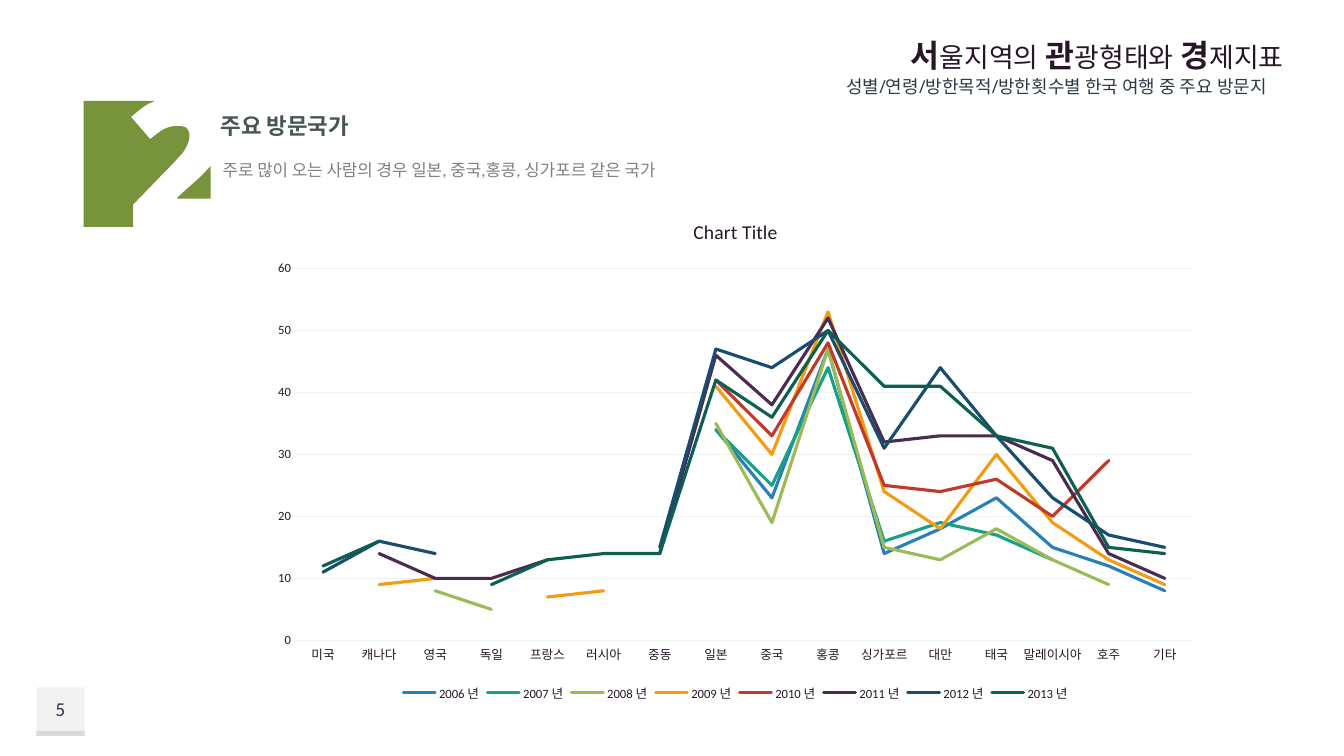
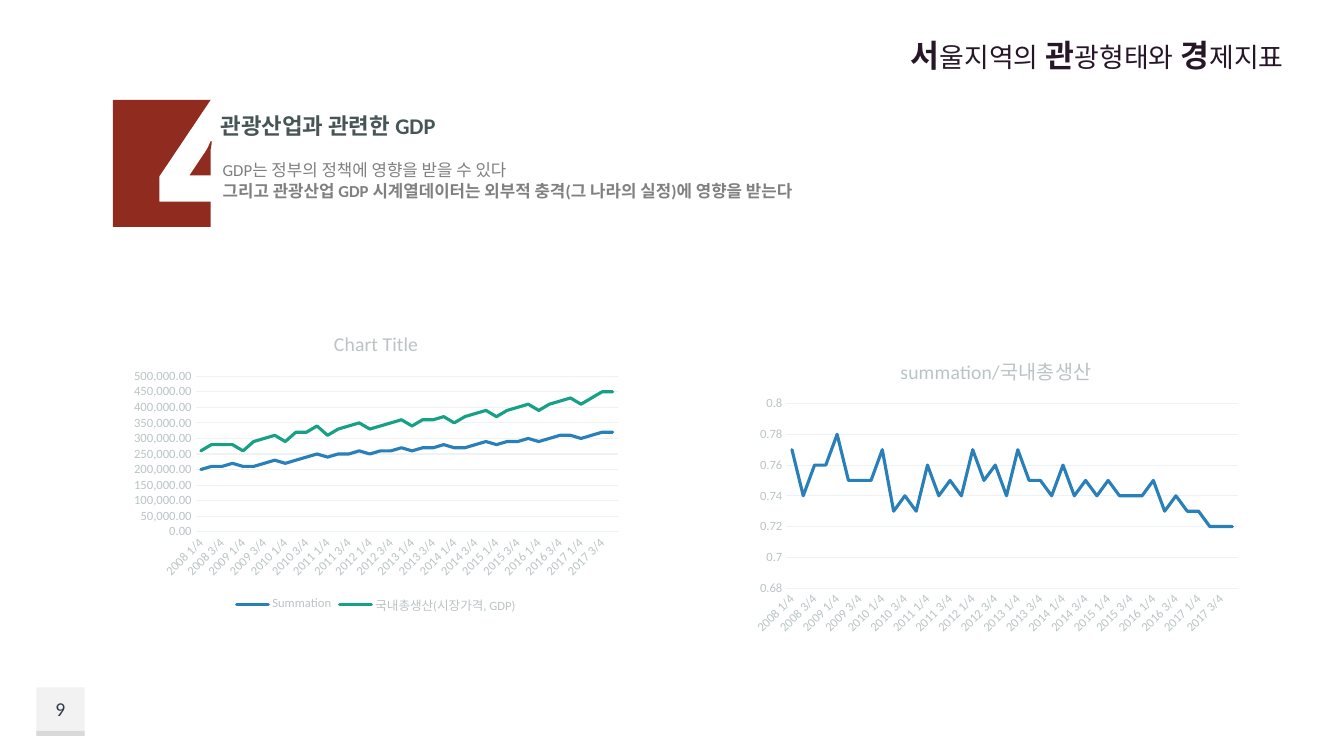
import pptx
import pptx.chart.data
import pptx.dml.color
import pptx.enum.chart
import pptx.enum.shapes
import pptx.enum.text
import pptx.util

Inches = pptx.util.Inches
Pt = pptx.util.Pt
RGBColor = pptx.dml.color.RGBColor
Align = pptx.enum.text.PP_ALIGN
Anchor = pptx.enum.text.MSO_ANCHOR
Tick = pptx.enum.chart.XL_TICK_MARK

FONT = "Calibri"
SUBTITLE_FONT = "Open Sans"
INK = RGBColor(0x26, 0x16, 0x28)
NAVY = RGBColor(0x2F, 0x3A, 0x46)
SLATE = RGBColor(0x48, 0x55, 0x56)
GRAY = RGBColor(0x80, 0x80, 0x80)
PALE_TEXT = RGBColor(0xBA, 0xC4, 0xC5)
GRID = RGBColor(0xEF, 0xF2, 0xF2)
TILE = RGBColor(0xF2, 0xF2, 0xF2)
TILE_EDGE = RGBColor(0xD9, 0xD9, 0xD9)
OLIVE = RGBColor(0x77, 0x93, 0x3C)
BRICK = RGBColor(0x90, 0x2B, 0x20)
SERIES_COLORS = [
    RGBColor(0x29, 0x80, 0xB9), RGBColor(0x16, 0xA0, 0x85),
    RGBColor(0x9B, 0xBB, 0x59), RGBColor(0xF3, 0x9C, 0x12),
    RGBColor(0xC0, 0x39, 0x2B), RGBColor(0x4B, 0x2C, 0x50),
    RGBColor(0x19, 0x4D, 0x6F), RGBColor(0x0D, 0x60, 0x50),
]

TITLE_WORDS = ["서울지역의", "관광형태와", "경제지표"]

# Contours in hundredths of an inch: pairs are corners, sextets are cubic curves.
DIGIT_TWO = [
    [(126, 65), (126, 97), (93, 97), (93, 96), (107, 83, 117, 75, 121, 70)],
    [(0, 0), (71, 0), (64, 3), (59, 6, 54, 10, 47, 16), (66, 38),
     (71, 34, 76, 30, 80, 28), (84, 26, 88, 25, 92, 25),
     (96, 25, 99, 25, 102, 27), (104, 29, 105, 32, 105, 35),
     (105, 38, 104, 41, 103, 43), (102, 46, 100, 49, 98, 52),
     (95, 55, 89, 62, 80, 71), (49, 103), (49, 125), (0, 125)],
]
DIGIT_FOUR = [
    [(97, 41), (98, 41), (98, 42, 98, 44, 97, 49), (97, 54, 97, 58, 97, 60),
     (97, 75), (76, 75), (90, 54), (93, 50, 95, 46, 97, 41)],
    [(0, 0), (97, 0), (46, 76), (46, 101), (97, 101), (97, 126), (0, 126)],
]

COUNTRIES = ["미국", "캐나다", "영국", "독일", "프랑스", "러시아", "중동", "일본",
             "중국", "홍콩", "싱가포르", "대만", "태국", "말레이시아", "호주", "기타"]
NA = None
VISITS = {
    "2006 년": [NA, NA, NA, NA, 7, NA, NA, 34, 23, 47, 14, 18, 23, 15, 12, 8],
    "2007 년": [NA, NA, 7, NA, 8, NA, NA, 34, 25, 44, 16, 19, 17, 13, NA, 9],
    "2008 년": [NA, NA, 8, 5, NA, NA, NA, 35, 19, 47, 15, 13, 18, 13, 9, NA],
    "2009 년": [NA, 9, 10, NA, 7, 8, NA, 41, 30, 53, 24, 18, 30, 19, 13, 9],
    "2010 년": [NA, NA, NA, NA, NA, NA, NA, 42, 33, 48, 25, 24, 26, 20, 29, NA],
    "2011 년": [NA, 14, 10, 10, 13, NA, 14, 46, 38, 52, 32, 33, 33, 29, 14, 10],
    "2012 년": [11, 16, 14, NA, 17, NA, 15, 47, 44, 50, 31, 44, 33, 23, 17, 15],
    "2013 년": [12, 16, NA, 9, 13, 14, 14, 42, 36, 50, 41, 41, 33, 31, 15, 14],
}
QUARTERS = [f"{year} {quarter}/4" for year in range(2008, 2018) for quarter in range(1, 5)]
RATIO_PERCENT = [
    77, 74, 76, 76, 78, 75, 75, 75, 77, 73, 74, 73, 76, 74, 75, 74, 77, 75, 76, 74,
    77, 75, 75, 74, 76, 74, 75, 74, 75, 74, 74, 74, 75, 73, 74, 73, 73, 72, 72, 72]
SUMMATION = [
    20, 21, 21, 22, 21, 21, 22, 23, 22, 23, 24, 25, 24, 25, 25, 26, 25, 26, 26, 27,
    26, 27, 27, 28, 27, 27, 28, 29, 28, 29, 29, 30, 29, 30, 31, 31, 30, 31, 32, 32]
PRODUCT = [
    26, 28, 28, 28, 26, 29, 30, 31, 29, 32, 32, 34, 31, 33, 34, 35, 33, 34, 35, 36,
    34, 36, 36, 37, 35, 37, 38, 39, 37, 39, 40, 41, 39, 41, 42, 43, 41, 43, 45, 45]
RATIO = {"summation/국내총생산": [value / 100 for value in RATIO_PERCENT]}
GDP = {"Summation": [value * 10000 for value in SUMMATION],
       "국내총생산(시장가격, GDP)": [value * 10000 for value in PRODUCT]}


def style_font(font, size, color, bold=False, name=FONT):
    """Set the face, size, colour and weight of a font."""
    font.name, font.size, font.bold = name, Pt(size), bold
    font.color.rgb = color


def add_text(slide, box, lines, size, color, bold=(False,), align=Align.LEFT,
             anchor=Anchor.TOP, wrap=True, name=FONT):
    """Add a text box with one paragraph per line and return its frame."""
    frame = slide.shapes.add_textbox(*map(Inches, box)).text_frame
    frame.word_wrap = wrap
    frame.vertical_anchor = anchor
    frame.text = "\n".join(lines)
    for paragraph, weight in zip(frame.paragraphs, bold):
        paragraph.alignment = align
        style_font(paragraph.font, size, color, weight, name)
    return frame


def set_small_caps(run):
    """Draw a run in small capitals."""
    run.font._element.set("cap", "small")


def add_title(slide, box):
    """Add the shared title, each word led by a large bold syllable."""
    frame = add_text(slide, box, [""], 24, INK, align=Align.RIGHT, anchor=Anchor.MIDDLE)
    paragraph = frame.paragraphs[0]
    for index, word in enumerate(TITLE_WORDS):
        parts = [(word[0], 28, True), (word[1:], 24, False)]
        if index:
            parts.insert(0, (" ", 28, False))
        for text, size, bold in parts:
            run = paragraph.add_run()
            run.text = text
            run.font.size, run.font.bold = Pt(size), bold
            set_small_caps(run)


def add_subtitle(slide, box, text):
    """Add the line under the title."""
    frame = add_text(slide, box, [text], 16, NAVY, align=Align.RIGHT,
                     anchor=Anchor.MIDDLE, name=SUBTITLE_FONT)
    set_small_caps(frame.paragraphs[0].runs[0])


def fill_shape(shape, color):
    """Give a shape a plain fill with no line or shadow."""
    shape.shadow.inherit = False
    shape.fill.solid()
    shape.fill.fore_color.rgb = color
    shape.line.fill.background()


def add_page_number(slide, left, top, number):
    """Add the page number on its two-tone tile."""
    side, edge = 0.48, 0.05
    for offset, height, color in [(0, side, TILE), (side - edge, edge, TILE_EDGE)]:
        tile = slide.shapes.add_shape(
            pptx.enum.shapes.MSO_SHAPE.RECTANGLE,
            *map(Inches, (left, top + offset, side, height)))
        fill_shape(tile, color)
    add_text(slide, (left, top, side, side - edge), [str(number)], 14, NAVY,
             align=Align.CENTER, anchor=Anchor.MIDDLE)


def flatten(contour, steps=8):
    """Turn corners and cubic curves into a list of points."""
    points = []
    for item in contour:
        if len(item) == 2:
            points.append(item)
            continue
        x0, y0 = points[-1]
        x1, y1, x2, y2, x3, y3 = item
        for step in range(1, steps + 1):
            t = step / steps
            a, b, c, d = (1 - t) ** 3, 3 * t * (1 - t) ** 2, 3 * t * t * (1 - t), t ** 3
            points.append((a * x0 + b * x1 + c * x2 + d * x3,
                           a * y0 + b * y1 + c * y2 + d * y3))
    return [(x * 100, y * 100) for x, y in points]


def add_digit_emblem(slide, left, top, contours, color):
    """Add a square emblem with a digit cut out of it."""
    outlines = [flatten(contour) for contour in contours]
    builder = slide.shapes.build_freeform(*outlines[0][0], scale=Inches(1) / 10000)
    builder.add_line_segments(outlines[0][1:], close=True)
    for outline in outlines[1:]:
        builder.move_to(*outline[0])
        builder.add_line_segments(outline[1:], close=True)
    fill_shape(builder.convert_to_shape(Inches(left), Inches(top)), color)


def add_section(slide, left, top, heading, lines, bold):
    """Add a section heading with its explanation below."""
    add_text(slide, (left, top, 2.5, 0.37), [heading], 16, SLATE, (True,), wrap=False)
    add_text(slide, (left + 0.02, top + 0.48, 6.69, 0.2 * len(lines) + 0.1), lines,
             12, GRAY, bold, align=Align.JUSTIFY)


def add_line_chart(slide, box, categories, series, title, color, scale,
                   number_format="General", legend=True, slanted=False):
    """Add a line chart in the shared style; scale is minimum, maximum and step."""
    data = pptx.chart.data.CategoryChartData()
    data.categories = categories
    for name, values in series.items():
        data.add_series(name, values)
    chart = slide.shapes.add_chart(
        pptx.enum.chart.XL_CHART_TYPE.LINE, *map(Inches, box), data).chart
    style_font(chart.font, 10, color)
    chart.has_title = True
    chart.chart_title.include_in_layout = False
    chart.chart_title.text_frame.text = title
    style_font(chart.chart_title.text_frame.paragraphs[0].font, 14, color)
    chart.has_legend = legend
    if legend:
        chart.legend.position = pptx.enum.chart.XL_LEGEND_POSITION.BOTTOM
        chart.legend.include_in_layout = False
        style_font(chart.legend.font, 9, color)
    category_axis, value_axis = chart.category_axis, chart.value_axis
    for axis in (category_axis, value_axis):
        axis.major_tick_mark = axis.minor_tick_mark = Tick.NONE
        style_font(axis.tick_labels.font, 9, color)
    value_axis.minimum_scale, value_axis.maximum_scale, value_axis.major_unit = scale
    value_axis.tick_labels.number_format = number_format
    value_axis.tick_labels.number_format_is_linked = False
    value_axis.format.line.fill.background()
    for line in (category_axis.format.line, value_axis.major_gridlines.format.line):
        line.color.rgb, line.width = GRID, Pt(0.75)
    if slanted:
        category_axis._element.txPr.bodyPr.set("rot", "-2700000")
    for plot_series, series_color in zip(chart.plots[0].series, SERIES_COLORS):
        plot_series.smooth = False
        plot_series.marker.style = pptx.enum.chart.XL_MARKER_STYLE.NONE
        plot_series.format.line.color.rgb = series_color
        plot_series.format.line.width = Pt(2.25)
        plot_series.format.line._get_or_add_ln().set("cap", "rnd")


def add_base_slide(presentation, number):
    """Add a blank slide with the shared title and page number."""
    slide = presentation.slides.add_slide(presentation.slide_layouts[6])
    add_page_number(slide, 0.36, 6.82, number)
    add_title(slide, (4.42, 0.17, 8.41, 0.68))
    return slide


def build_country_slide(presentation):
    """Build the slide on the main countries."""
    slide = add_base_slide(presentation, 5)
    add_subtitle(slide, (4.25, 0.68, 8.41, 0.31),
                 "성별/연령/방한목적/방한횟수별 한국 여행 중 주요 방문지")
    add_section(slide, 2.09, 1.06, "주요 방문국가",
                ["주로 많이 오는 사람의 경우 일본, 중국,홍콩, 싱가포르 같은 국가"], (False,))
    add_digit_emblem(slide, 0.83, 1, DIGIT_TWO, OLIVE)
    add_line_chart(slide, (2.57, 1.98, 9.45, 5.02), COUNTRIES, VISITS, "Chart Title",
                   INK, (0, 60, 10))


def build_gdp_slide(presentation):
    """Build the slide on tourism and GDP."""
    slide = add_base_slide(presentation, 9)
    add_section(slide, 2.09, 1.06, "관광산업과 관련한 GDP",
                ["GDP는 정부의 정책에 영향을 받을 수 있다",
                 "그리고 관광산업 GDP 시계열데이터는 외부적 충격(그 나라의 실정)에 영향을 받는다"],
                (False, True))
    add_line_chart(slide, (7.38, 3.36, 5, 3), QUARTERS, RATIO, "summation/국내총생산",
                   PALE_TEXT, (0.68, 0.8, 0.02), legend=False, slanted=True)
    add_line_chart(slide, (1.23, 3.13, 5, 3), QUARTERS, GDP, "Chart Title",
                   PALE_TEXT, (0, 500000, 50000), "#,##0.00", slanted=True)
    add_digit_emblem(slide, 1.12, 0.99, DIGIT_FOUR, BRICK)


def main():
    """Build and save the presentation."""
    presentation = pptx.Presentation()
    presentation.slide_width, presentation.slide_height = Inches(13.33), Inches(7.5)
    build_country_slide(presentation)
    build_gdp_slide(presentation)
    presentation.save("out.pptx")


if __name__ == "__main__":
    main()
